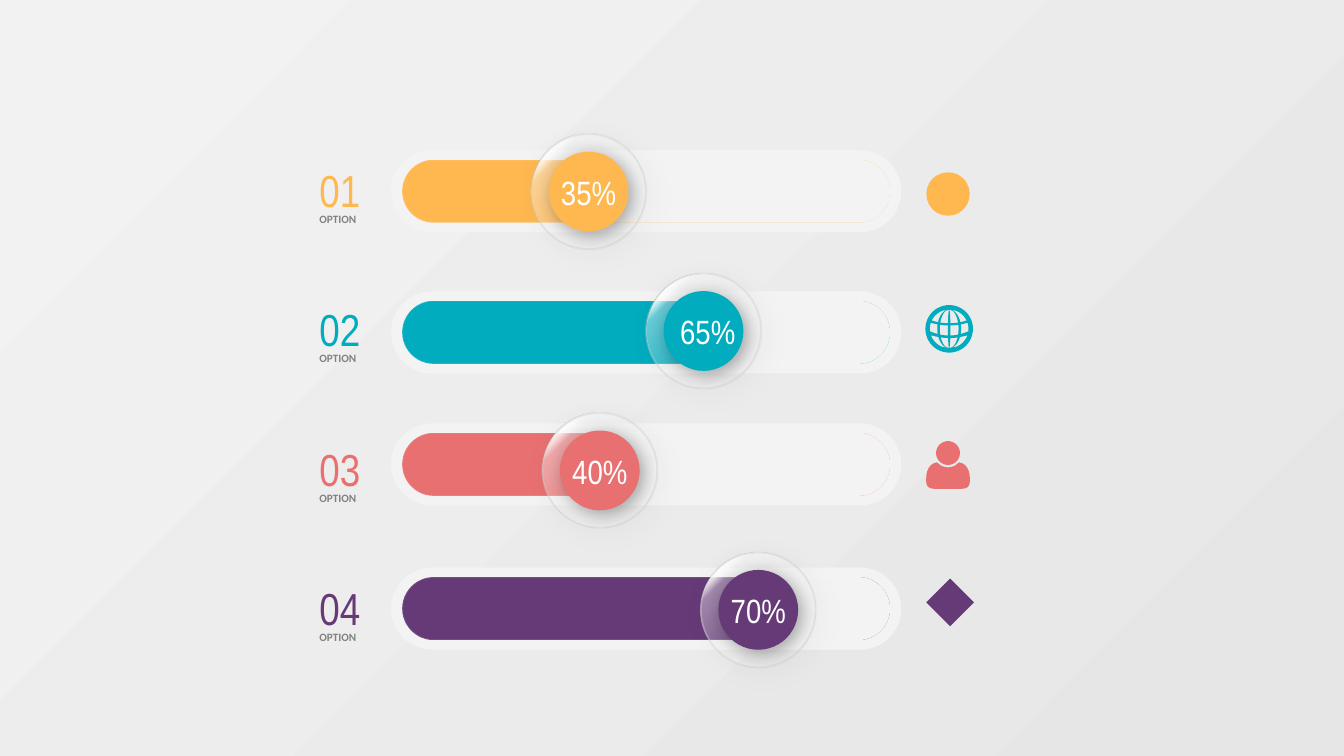
from math import cos, pi, sin, sqrt

from lxml.etree import SubElement
from pptx import Presentation
from pptx.dml.color import RGBColor
from pptx.enum.shapes import MSO_SHAPE
from pptx.enum.text import MSO_ANCHOR, MSO_AUTO_SIZE, PP_ALIGN
from pptx.oxml.ns import qn
from pptx.util import Pt

COLORS = {
    "orange": "FFB850", "teal": "01ACBE", "coral": "E87071", "purple": "663A77",
    "track": "F3F3F3", "white": "FFFFFF", "ring": "D0CECE", "caption": "818181",
    "light": "F2F2F2", "shade": "E7E6E6", "black": "000000",
}
RGB = {name: RGBColor.from_string(value) for name, value in COLORS.items()}

prs = Presentation()
prs.slide_width, prs.slide_height = Pt(960), Pt(540)
slide = prs.slides.add_slide(prs.slide_layouts[6])

backdrop = slide.background.fill
backdrop.gradient()
backdrop.gradient_angle = 315
for stop, color, position in zip(backdrop.gradient_stops, ("light", "shade"), (0, 1)):
    stop.color.rgb, stop.position = RGB[color], position


def add_text(text, left, top, width, height, size, color, font="Arial Narrow",
             bold=False, align=PP_ALIGN.LEFT, anchor=MSO_ANCHOR.MIDDLE,
             insets=(0, 0), wrap=True):
    box = slide.shapes.add_textbox(Pt(left), Pt(top), Pt(width), Pt(height))
    frame = box.text_frame
    frame.word_wrap = wrap
    frame.auto_size = MSO_AUTO_SIZE.SHAPE_TO_FIT_TEXT
    frame.vertical_anchor = anchor
    frame.margin_left = frame.margin_right = Pt(insets[0])
    frame.margin_top = frame.margin_bottom = Pt(insets[1])
    paragraph = frame.paragraphs[0]
    paragraph.alignment = align
    run = paragraph.add_run()
    run.text = text
    run.font.size, run.font.name, run.font.bold = Pt(size), font, bold
    run.font.color.rgb = RGB[color]


def add_shape(parent, kind, left, top, width, height, fill, line=None, shadow=None):
    """Line is (color, width, opacity %); shadow is (opacity %, blur, distance)."""
    shape = parent.shapes.add_shape(kind, Pt(left), Pt(top), Pt(width), Pt(height))
    shape.fill.solid()
    shape.fill.fore_color.rgb = RGB[fill]
    if kind == MSO_SHAPE.ROUNDED_RECTANGLE:
        shape.adjustments[0] = 0.5
    if line:
        color, weight, opacity = line
        shape.line.color.rgb, shape.line.width = RGB[color], Pt(weight)
        line_color = shape.line._ln.find(".//" + qn("a:srgbClr"))
        SubElement(line_color, qn("a:alpha"), val=str(opacity * 1000))
    else:
        shape.line.fill.background()
    shape.shadow.inherit = False
    if shadow:
        opacity, blur, distance = shadow
        effects = shape._element.spPr.find(qn("a:effectLst"))
        outer = SubElement(effects, qn("a:outerShdw"), blurRad=str(Pt(blur)),
                           dist=str(Pt(distance)), dir="2700000", algn="tl",
                           rotWithShape="0")
        shade = SubElement(outer, qn("a:srgbClr"), val=COLORS["black"])
        SubElement(shade, qn("a:alpha"), val=str(opacity * 1000))
    return shape


# number, color, percent, filled share of bar, track top, ring left, percent nudge
options = [
    ("01", "orange", "35%", 0.40, 107.3, 379.4, 0),
    ("02", "teal", "65%", 0.62, 208.1, 461.5, 3),
    ("03", "coral", "40%", 0.42, 302.4, 387.4, 0),
    ("04", "purple", "70%", 0.73, 405.4, 500.6, 0),
]
GLASS = [(15, 100), (22, 40), (50, 20), (100, 10)]  # position %, opacity %
FIRST_RING_TOP, PITCH = 95.8, 99.6
RING, KNOB = 82, 57
INSET = (RING - KNOB) / 2

for row, (number, color, percent, share, track_top, ring_left, nudge) in enumerate(options):
    ring_top = FIRST_RING_TOP + PITCH * row
    slider = slide.shapes.add_group_shape()
    add_shape(slider, MSO_SHAPE.ROUNDED_RECTANGLE, 279.4, track_top, 364.3, 58.6,
              "track", line=("white", 0.75, 10))

    bar = add_shape(slider, MSO_SHAPE.ROUNDED_RECTANGLE, 287.3, track_top + 6.8, 348.5, 45,
                    color, line=("white", 1.25, 10))
    bar.fill.gradient()
    bar.fill.gradient_angle = 0
    for stop, stop_color in zip(bar.fill.gradient_stops, (color, "track")):
        stop.color.rgb, stop.position = RGB[stop_color], share

    ring = add_shape(slider, MSO_SHAPE.OVAL, ring_left, ring_top, RING, RING, "white",
                     line=("ring", 1.25, 40), shadow=(15, 19, 7))
    ring.fill.gradient()
    ring.fill.gradient_angle = 315
    stops = ring._element.spPr.find(".//" + qn("a:gsLst"))
    for stop in list(stops):
        stops.remove(stop)
    for position, opacity in GLASS:
        stop = SubElement(stops, qn("a:gs"), pos=str(position * 1000))
        glass = SubElement(stop, qn("a:srgbClr"), val=COLORS["white"])
        SubElement(glass, qn("a:alpha"), val=str(opacity * 1000))

    add_shape(slider, MSO_SHAPE.OVAL, ring_left + INSET, ring_top + INSET, KNOB, KNOB,
              color, shadow=(30, 12, 4))

    add_text(number, 228.2, ring_top + 20.2, 35.3, 38.8, 32, color)
    add_text("OPTION", 221, ring_top + 52.3, 45.4, 17, 8, "caption", font="Calibri",
             bold=True, anchor=MSO_ANCHOR.TOP, insets=(7.2, 3.6), wrap=False)
    add_text(percent, ring_left + 7.9 + nudge, ring_top + 26.9, 66.2, 29, 24, "white",
             align=PP_ALIGN.CENTER)

# Plain marks beside the first and last options
add_shape(slide, MSO_SHAPE.OVAL, 661.7, 123.1, 31, 31, "orange")
add_shape(slide, MSO_SHAPE.DIAMOND, 661.7, 413.3, 34, 34, "purple")

# Globe: a disc with openings between meridians and bent parallels
turn = [2 * pi * step / 48 for step in range(48)]
globe = [[(17 * cos(angle), 17 * sin(angle)) for angle in turn]]
INNER = 13.8
meridians = [(-INNER, -8.5), (-6.7, -0.9), (0.9, 6.7), (8.5, INNER)]
parallels = [((-INNER, 0), (-4, -2)), ((-2.4, -2), (4.8, -3)), ((6.6, -2), (INNER, 0))]
STEPS = 10
ticks = [step / STEPS for step in range(STEPS)]
for west, east in meridians:
    for (north, north_bend), (south, south_bend) in parallels:
        corners = ([(t, 0) for t in ticks] + [(1, t) for t in ticks]
                   + [(1 - t, 1) for t in ticks] + [(0, 1 - t) for t in ticks])
        opening = []
        for across, down in corners:
            reach = west + (east - west) * across
            bend = (reach / INNER) ** 2
            upper, lower = north + north_bend * bend, south + south_bend * bend
            y = upper + (lower - upper) * down
            opening.append((reach * sqrt(max(0, 1 - (y / INNER) ** 2)), y))
        globe.append(opening)

# Person: a round head above mirrored shoulders
head = [(8.5 * cos(angle), 8.4 + 8.5 * sin(angle)) for angle in turn]
shoulder = [(0, 18.7), (2.9, 18.2), (5.4, 17.2), (6.8, 15.9), (8, 15.1), (10.4, 15.8),
            (12.3, 17.1), (13.7, 18.9), (14.8, 21.3), (15.4, 23.8), (15.7, 28.3),
            (15.2, 31), (14.2, 32.6), (12.4, 33.6), (9.7, 34)]
person = [head, shoulder + [(-x, y) for x, y in reversed(shoulder[1:])]]

for color, center_x, base_y, contours in [("teal", 678, 234.9, globe),
                                          ("coral", 677.2, 315.2, person)]:
    placed = [[(Pt(center_x + x), Pt(base_y + y)) for x, y in contour]
              for contour in contours]
    outline = slide.shapes.build_freeform(*placed[0][0])
    for index, contour in enumerate(placed):
        if index:
            outline.move_to(*contour[0])
        outline.add_line_segments(contour[1:], close=True)
    icon = outline.convert_to_shape()
    icon.fill.solid()
    icon.fill.fore_color.rgb = RGB[color]
    icon.line.fill.background()
    icon.shadow.inherit = False

prs.save("out.pptx")
